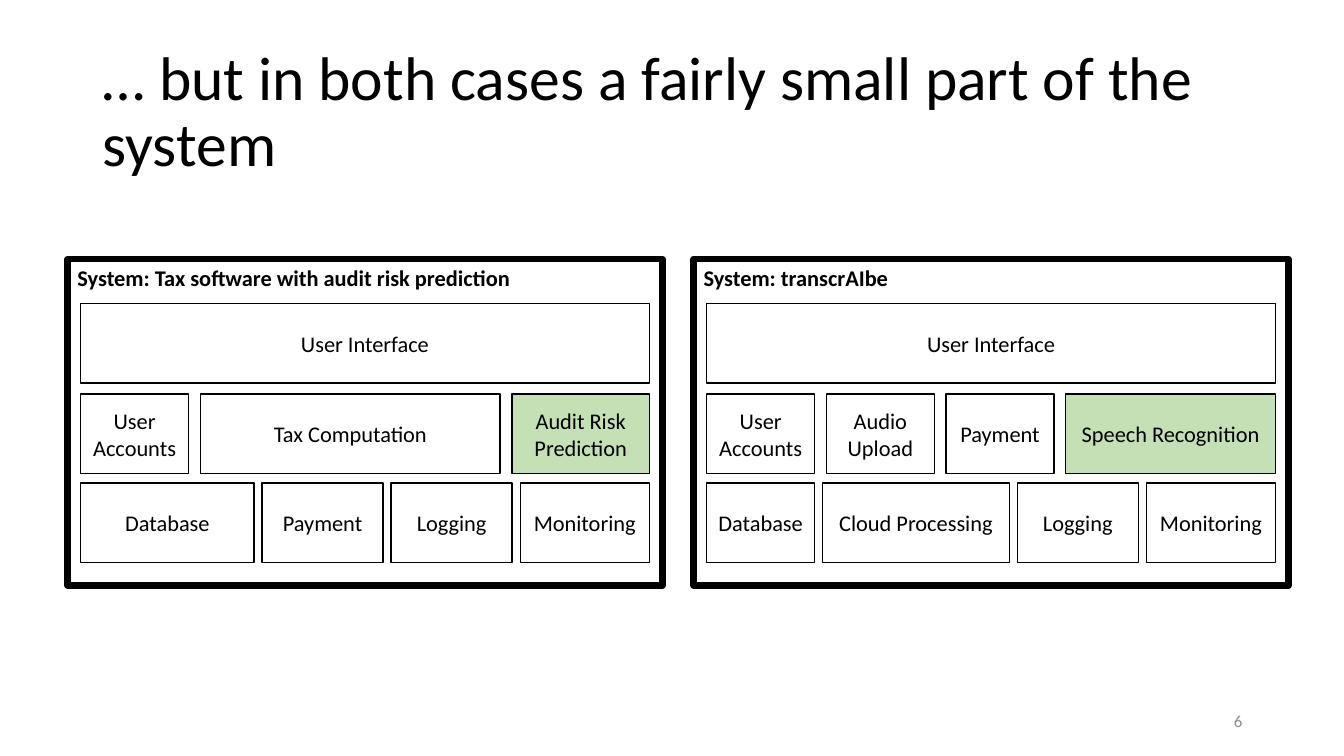
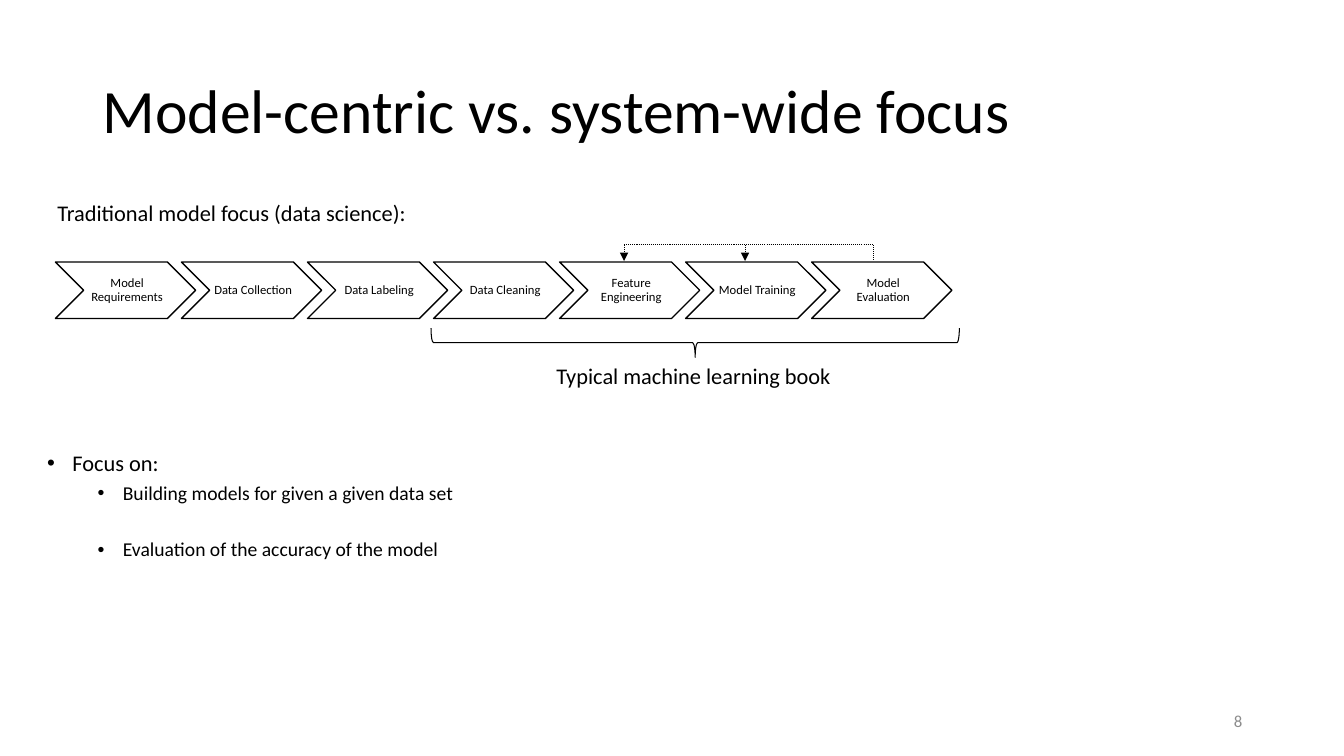
from pptx import Presentation
from pptx.dml.color import RGBColor
from pptx.enum.dml import MSO_LINE
from pptx.enum.shapes import MSO_CONNECTOR, MSO_SHAPE as Kind
from pptx.enum.text import MSO_ANCHOR as Anchor, PP_ALIGN as Align
from pptx.oxml.ns import qn
from pptx.util import Inches, Pt
from lxml import etree

BLACK, WHITE, GREEN, GREY = "000000", "FFFFFF", "C5E0B4", "8C8C8C"
FONT = "Calibri"


def paint(fmt, hue):
    """Give a fill or a font colour its hex value."""
    if hasattr(fmt, "solid"):
        fmt.solid()
        fmt = fmt.fore_color
    fmt.rgb = RGBColor.from_string(hue)


def write(shape, text, size=16, hue=BLACK, bold=False, align=Align.LEFT,
          anchor=Anchor.MIDDLE, wrap=True, inset=None, lead=None):
    """Write one paragraph in a shape or a text box."""
    frame = shape.text_frame
    frame.word_wrap = wrap
    frame.vertical_anchor = anchor
    if inset:
        sides = [Inches(n) for n in inset]
        (frame.margin_left, frame.margin_top,
         frame.margin_right, frame.margin_bottom) = sides
    para = frame.paragraphs[0]
    para.text = text
    para.alignment = align
    if lead:
        para.line_spacing = lead
    font = para.font
    font.name, font.size, font.bold = FONT, Pt(size), bold
    paint(font.color, hue)


deck = Presentation()
deck.slide_width, deck.slide_height = Inches(13.33), Inches(7.5)

# Shared title and page number
slides = []
for title, page in [
    ("… but in both cases a fairly small part of the system", "6"),
    ("Model-centric vs. system-wide focus", "8"),
]:
    slide = deck.slides.add_slide(deck.slide_layouts[6])
    box = slide.shapes.add_textbox(
        Inches(0.92), Inches(0.4), Inches(11.5), Inches(1.45))
    write(box, title, size=44, lead=0.9)
    box = slide.shapes.add_textbox(
        Inches(9.42), Inches(6.95), Inches(3), Inches(0.4))
    write(box, page, size=12, hue=GREY, align=Align.RIGHT)
    slides.append(slide)
parts, focus = slides

# Slide 1: two systems, each row of parts spread over the full width
systems = [
    (0.67, "System: Tax software with audit risk prediction", [
        [("User Interface", 5.64)],
        [("User Accounts", 1.07), ("Tax Computation", 2.97),
         ("Audit Risk Prediction", 1.36)],
        [("Database", 1.72), ("Payment", 1.2), ("Logging", 1.2),
         ("Monitoring", 1.28)],
    ]),
    (6.88, "System: transcrAIbe", [
        [("User Interface", 5.64)],
        [("User Accounts", 1.07), ("Audio Upload", 1.07),
         ("Payment", 1.07), ("Speech Recognition", 2.08)],
        [("Database", 1.07), ("Cloud Processing", 1.85), ("Logging", 1.2),
         ("Monitoring", 1.28)],
    ]),
]
learned = {"Audit Risk Prediction", "Speech Recognition"}
for left, name, rows in systems:
    for top, row in zip((3.01, 3.91, 4.79), rows):
        gap = (5.64 - sum(wide for _, wide in row)) / max(len(row) - 1, 1)
        x = left + 0.13
        for label, wide in row:
            box = parts.shapes.add_shape(
                Kind.RECTANGLE, Inches(x), Inches(top),
                Inches(wide), Inches(0.79))
            box.shadow.inherit = False
            paint(box.fill, GREEN if label in learned else WHITE)
            paint(box.line.color, BLACK)
            box.line.width = Pt(1)
            write(box, label, align=Align.CENTER)
            x += wide + gap
    frame = parts.shapes.add_shape(
        Kind.RECTANGLE, Inches(left), Inches(2.57), Inches(5.9), Inches(3.24))
    frame.shadow.inherit = False
    frame.fill.background()
    paint(frame.line.color, BLACK)
    frame.line.width = Pt(4.5)
    write(frame, name, bold=True, anchor=Anchor.TOP)

# Slide 2: chain of steps
steps = ["Model Requirements", "Data Collection", "Data Labeling",
         "Data Cleaning", "Feature Engineering", "Model Training",
         "Model Evaluation"]
for i, step in enumerate(steps):
    arrow = focus.shapes.add_shape(
        Kind.CHEVRON, Inches(0.55 + 1.25 * i), Inches(2.6),
        Inches(1.39), Inches(0.56))
    arrow.shadow.inherit = False
    paint(arrow.fill, WHITE)
    paint(arrow.line.color, BLACK)
    arrow.line.width = Pt(1)
    write(arrow, step, size=9, align=Align.CENTER, lead=0.9,
          inset=(0.04, 0.01, 0.01, 0.01))

# Loop back from evaluation
for x1, y1, x2, y2, head in [
    (6.19, 2.43, 6.19, 2.59, True),
    (7.39, 2.43, 7.39, 2.59, True),
    (6.19, 2.43, 8.66, 2.43, False),
    (8.66, 2.43, 8.66, 2.59, False),
]:
    link = focus.shapes.add_connector(
        MSO_CONNECTOR.STRAIGHT, Inches(x1), Inches(y1), Inches(x2), Inches(y2))
    paint(link.line.color, BLACK)
    link.line.width = Pt(0.75)
    link.line.dash_style = MSO_LINE.ROUND_DOT
    props = link._element.spPr
    if head:
        etree.SubElement(props.find(qn("a:ln")), qn("a:tailEnd"),
                         type="triangle")
    etree.SubElement(props, qn("a:effectLst"))

# Brace under the last four steps
brace = focus.shapes.add_shape(
    Kind.LEFT_BRACE, Inches(6.75), Inches(0.78), Inches(0.29), Inches(5.24))
brace.rotation = 270
brace.shadow.inherit = False
brace.fill.background()
paint(brace.line.color, BLACK)
brace.line.width = Pt(0.75)

# Labels
for x, y, wide, label in [
    (0.47, 1.93, 3.7, "Traditional model focus (data science):"),
    (5.42, 3.54, 2.95, "Typical machine learning book"),
]:
    box = focus.shapes.add_textbox(
        Inches(x), Inches(y), Inches(wide), Inches(0.37))
    write(box, label, anchor=Anchor.TOP, wrap=False)

# Bullets
box = focus.shapes.add_textbox(
    Inches(0.37), Inches(4.44), Inches(11.76), Inches(2.46))
body = box.text_frame
body.word_wrap = True
for i, (text, level, size, space) in enumerate([
    ("Focus on:", 0, 16, 0),
    ("Building models for given a given data set", 1, 14, 5),
    ("Evaluation of the accuracy of the model", 1, 14, 25),
]):
    para = body.add_paragraph() if i else body.paragraphs[0]
    para.text = text
    para.level = level
    props = para._p.get_or_add_pPr()
    props.set("marL", str(Inches(0.25 + 0.5 * level)))
    props.set("indent", str(Inches(-0.25)))
    etree.SubElement(props, qn("a:buFont"), typeface="Arial")
    etree.SubElement(props, qn("a:buChar"), char="•")
    para.line_spacing = 0.9
    para.space_before = Pt(space)
    para.font.name, para.font.size = FONT, Pt(size)
    paint(para.font.color, BLACK)

deck.save("out.pptx")
